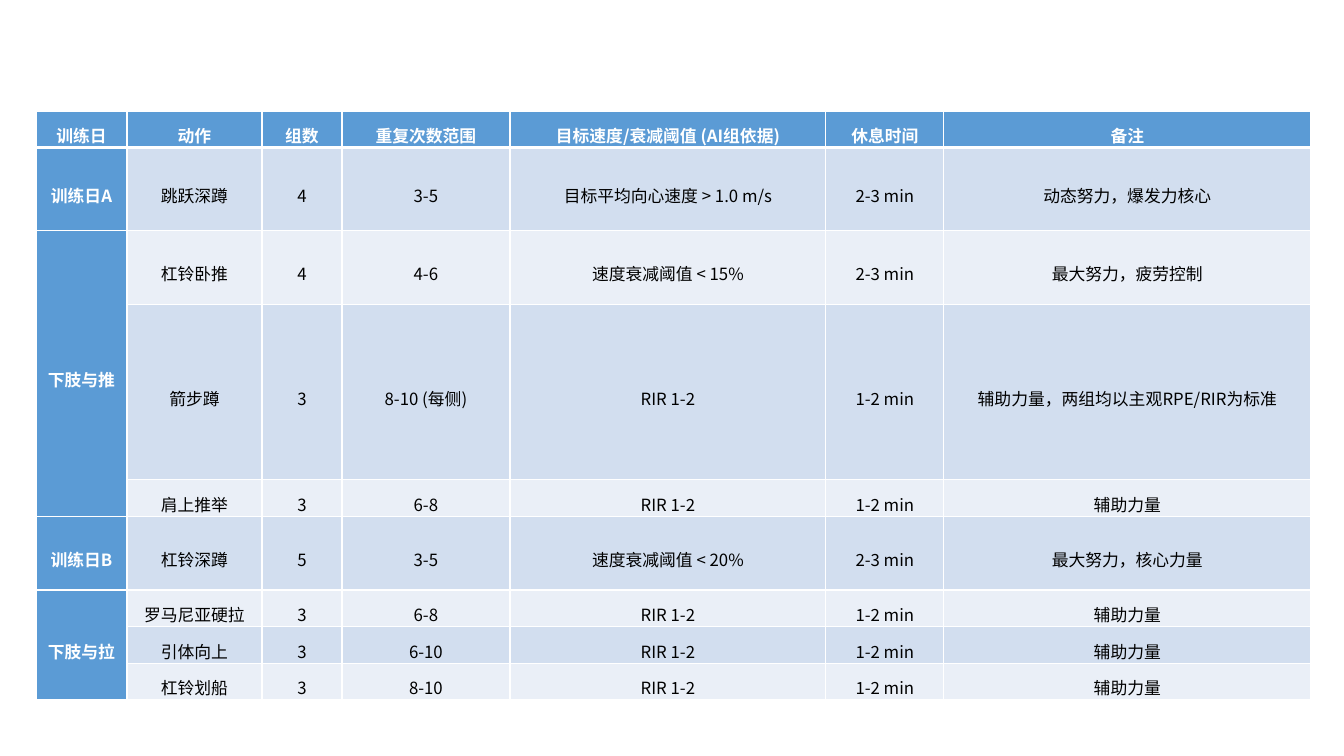
"""Build a slide with the weekly strength training plan table."""
from lxml import etree
from pptx import Presentation
from pptx.dml.color import RGBColor
from pptx.enum import text
from pptx.oxml import ns
from pptx.util import Pt

HEADER = ["训练日", "动作", "组数", "重复次数范围", "目标速度/衰减阈值 (AI组依据)", "休息时间", "备注"]
DAYS = [
    ("训练日A", [("跳跃深蹲", "4", "3-5", "目标平均向心速度 > 1.0 m/s", "2-3 min", "动态努力，爆发力核心")]),
    ("下肢与推", [
        ("杠铃卧推", "4", "4-6", "速度衰减阈值 < 15%", "2-3 min", "最大努力，疲劳控制"),
        ("箭步蹲", "3", "8-10 (每侧)", "RIR 1-2", "1-2 min", "辅助力量，两组均以主观RPE/RIR为标准"),
        ("肩上推举", "3", "6-8", "RIR 1-2", "1-2 min", "辅助力量"),
    ]),
    ("训练日B", [("杠铃深蹲", "5", "3-5", "速度衰减阈值 < 20%", "2-3 min", "最大努力，核心力量")]),
    ("下肢与拉", [
        ("罗马尼亚硬拉", "3", "6-8", "RIR 1-2", "1-2 min", "辅助力量"),
        ("引体向上", "3", "6-10", "RIR 1-2", "1-2 min", "辅助力量"),
        ("杠铃划船", "3", "8-10", "RIR 1-2", "1-2 min", "辅助力量"),
    ]),
]
LEFT, TOP = 36, 111
COL_WIDTHS = [91, 135, 80, 168, 316, 118, 367]
ROW_HEIGHTS = [16, 83, 74, 175, 32, 74, 32, 32, 32]

FONT = "Noto Sans CJK SC"
WHITE = RGBColor(0xFF, 0xFF, 0xFF)
BLACK = RGBColor(0, 0, 0)
BLUE = RGBColor(0x5B, 0x9B, 0xD5)
BANDS = [RGBColor(0xEA, 0xEF, 0xF7), RGBColor(0xD2, 0xDE, 0xEF)]


def px(n):
    return round(n * 914400 / 100.8)


def add_border(cell, side, width):
    ln = etree.SubElement(cell._tc.get_or_add_tcPr(), ns.qn(f"a:ln{side}"), w=str(Pt(width)))
    fill = etree.SubElement(ln, ns.qn("a:solidFill"))
    etree.SubElement(fill, ns.qn("a:srgbClr"), val=str(WHITE))


def style_cell(cell, row, col):
    heading = row == 0 or col == 0
    cell.vertical_anchor = text.MSO_ANCHOR.MIDDLE
    cell.margin_left = cell.margin_right = px(2)
    cell.margin_top = cell.margin_bottom = 0
    for side in "LRTB":
        under_header = (row, side) in [(0, "B"), (1, "T")]
        add_border(cell, side, 3 if under_header else 1)
    cell.fill.solid()
    cell.fill.fore_color.rgb = BLUE if heading else BANDS[row % 2]


def write_cell(cell, words, heading):
    p = cell.text_frame.paragraphs[0]
    p.alignment = text.PP_ALIGN.CENTER
    p.line_spacing = 1.5
    r = p.add_run()
    r.text = words
    r.font.size = Pt(12)
    r.font.bold = heading
    r.font.color.rgb = WHITE if heading else BLACK
    r.font.name = FONT
    etree.SubElement(r.font._element, ns.qn("a:ea"), typeface=FONT)


def main():
    prs = Presentation()
    prs.slide_width, prs.slide_height = px(1344), px(756)
    s = prs.slides.add_slide(prs.slide_layouts[6])
    sp = s.shapes.add_table(len(ROW_HEIGHTS), len(COL_WIDTHS), px(LEFT), px(TOP),
                            px(sum(COL_WIDTHS)), px(sum(ROW_HEIGHTS)))
    table = sp.table
    table.horz_banding = False
    for column, width in zip(table.columns, COL_WIDTHS):
        column.width = px(width)
    for line, height in zip(table.rows, ROW_HEIGHTS):
        line.height = px(height)

    for row in range(len(ROW_HEIGHTS)):
        for col in range(len(COL_WIDTHS)):
            style_cell(table.cell(row, col), row, col)
    for col, words in enumerate(HEADER):
        write_cell(table.cell(0, col), words, True)

    row = 1
    for day, exercises in DAYS:
        day_cell = table.cell(row, 0)
        write_cell(day_cell, day, True)
        if len(exercises) > 1:
            day_cell.merge(table.cell(row + len(exercises) - 1, 0))
        for exercise in exercises:
            for col, words in enumerate(exercise, 1):
                write_cell(table.cell(row, col), words, False)
            row += 1
    prs.save("out.pptx")


if __name__ == "__main__":
    main()
